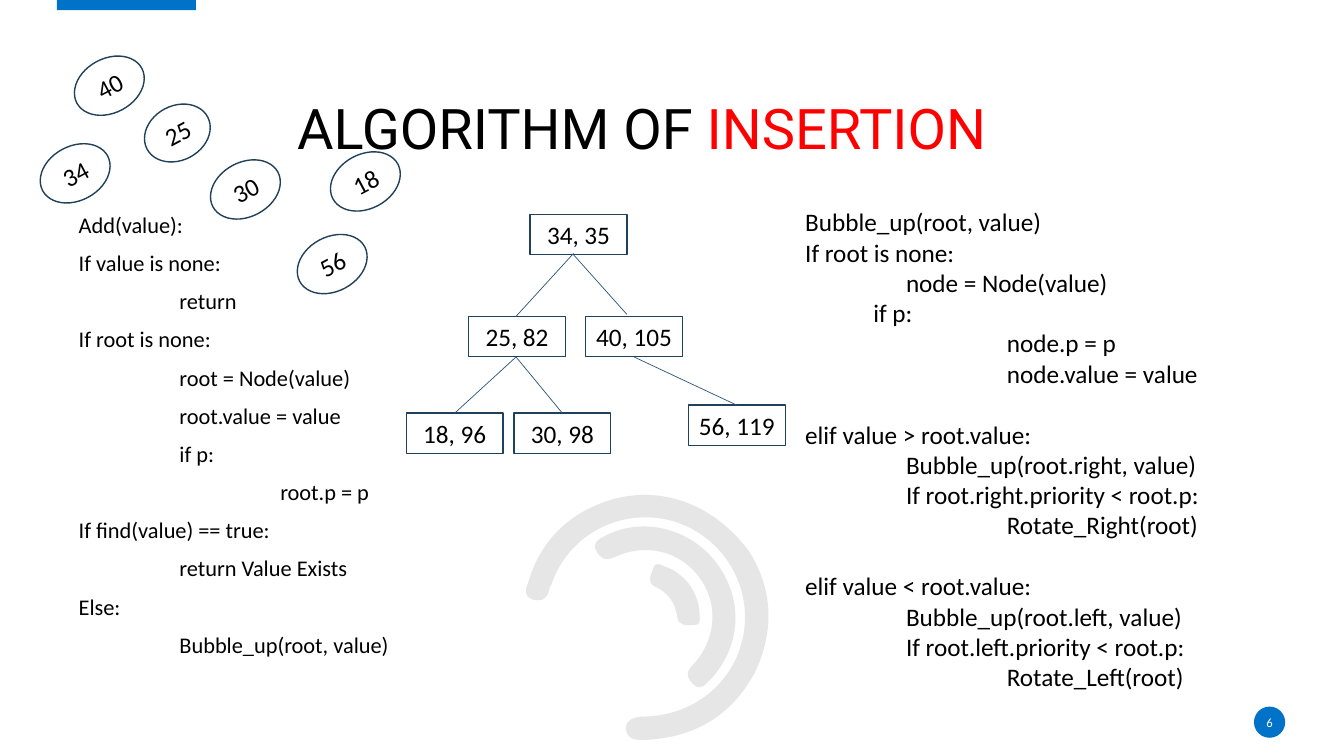
from dataclasses import dataclass

from pptx import Presentation
from pptx.dml.color import RGBColor
from pptx.enum.shapes import MSO_CONNECTOR, MSO_SHAPE
from pptx.enum.text import MSO_ANCHOR, MSO_AUTO_SIZE, PP_ALIGN
from pptx.oxml.ns import qn
from pptx.util import Pt

RECTANGLE, OVAL = MSO_SHAPE.RECTANGLE, MSO_SHAPE.OVAL
VALUE_SHAPE = MSO_SHAPE.FLOWCHART_CONNECTOR
STRAIGHT = MSO_CONNECTOR.STRAIGHT
TOP, MIDDLE = MSO_ANCHOR.TOP, MSO_ANCHOR.MIDDLE
JUSTIFY, CENTER = PP_ALIGN.JUSTIFY, PP_ALIGN.CENTER
NO_AUTOFIT = MSO_AUTO_SIZE.NONE
TITLE_ONLY = 5


@dataclass(frozen=True)
class Theme:
    blue: RGBColor = RGBColor(0x00, 0x72, 0xC7)
    outline: RGBColor = RGBColor(0x21, 0x40, 0x5A)
    edge: RGBColor = RGBColor(0x2C, 0x56, 0x7A)
    swirl: RGBColor = RGBColor(0xE7, 0xE6, 0xE6)
    ink: RGBColor = RGBColor(0, 0, 0)
    red: RGBColor = RGBColor(0xFF, 0, 0)
    white: RGBColor = RGBColor(0xFF, 0xFF, 0xFF)
    body_font: str = "Calibri"
    title_font: str = "Roboto"
    title_size: int = 40
    large: int = 18
    body: int = 16
    small: int = 9


THEME = Theme()
TAB = 72
HALF_TAB = 48.6
BLANK_LINE = 22
NODE_WIDTH, NODE_HEIGHT = 69.1, 28.8
VALUE_HEIGHT, VALUE_TILT = 38.9, 331.9

SWIRLS = [
    [(535, 393.8),
     (550.8, 418.3), (554.4, 448.6), (539.3, 480.2),
     (522.7, 511.2), (496.1, 527), (460.8, 528.5),
     (456.5, 528.5), (451.4, 529.2), (448.6, 524.9),
     (444.2, 518.4), (449.3, 511.9), (458.6, 511.9),
     (499, 511.9), (530.6, 482.4), (532.1, 443.5),
     (533.5, 408.2), (508.3, 377.3), (474.5, 370.8),
     (439.2, 364.3), (405.4, 383.8), (393.8, 417.6),
     (393.1, 418.3), (392.4, 419.8), (392.4, 421.2),
     (391, 427.7), (387.4, 429.8), (380.9, 428.4),
     (373.7, 426.2), (375.1, 420.5), (377.3, 416.2),
     (385.2, 388.8), (403.2, 369.4), (429.8, 359.3),
     (467.3, 344.9), (508.3, 357.8), (535, 393.8)],
    [(512.6, 403.2),
     (531.4, 429.1), (529.2, 462.2), (507.6, 485.3),
     (504, 488.9), (500.4, 493.9), (495.4, 488.9),
     (490.3, 483.8), (489.6, 480.2), (495.4, 474.5),
     (511.9, 456.5), (513.4, 431.3), (499.7, 412.6),
     (486, 393.8), (461.5, 387.4), (438.5, 398.2),
     (432, 401), (429.1, 398.9), (426.2, 393.8),
     (422.6, 387.4), (427.7, 385.2), (432, 383),
     (458.6, 368.6), (493.9, 377.3), (512.6, 403.2)],
    [(492.5, 417.6),
     (496.8, 424.1), (499.7, 431.3), (499.7, 439.2),
     (499.7, 442.1), (501.1, 446.4), (496.1, 446.4),
     (491, 446.4), (484.6, 447.8), (483.8, 440.6),
     (482.4, 430.6), (477.4, 423.4), (468, 419),
     (461.5, 416.2), (465.1, 410.4), (466.6, 406.1),
     (468, 401), (471.6, 403.2), (474.5, 404.6),
     (482.4, 406.8), (487.4, 411.8), (492.5, 417.6)],
]

ADD_CODE = [
    (0, "Add(value):"), (0, "If value is none:"), (TAB, "return"),
    (0, "If root is none:"), (TAB, "root = Node(value)"),
    (TAB, "root.value = value"), (TAB, "if p:"), (2 * TAB, "root.p = p"),
    (0, "If find(value) == true:"), (TAB, "return Value Exists"),
    (0, "Else:"), (TAB, "Bubble_up(root, value)"),
]
BUBBLE_UP_CODE = [
    (0, "Bubble_up(root, value)"), (0, "If root is none:"),
    (TAB, "node = Node(value)"), (HALF_TAB, "if p:"),
    (2 * TAB, "node.p = p"), (2 * TAB, "node.value = value"),
    (0, "elif value > root.value:"), (TAB, "Bubble_up(root.right, value)"),
    (TAB, "If root.right.priority < root.p:"), (2 * TAB, "Rotate_Right(root)"),
    (0, "elif value < root.value:"), (TAB, "Bubble_up(root.left, value)"),
    (TAB, "If root.left.priority < root.p:"), (2 * TAB, "Rotate_Left(root)"),
]
TREE_NODES = [
    ("34, 35", 378.7, 153.2), ("25, 82", 334.8, 226), ("40, 105", 418.3, 226),
    ("18, 96", 290.2, 295), ("30, 98", 367.2, 295), ("56, 119", 491.8, 289.4),
]
TREE_EDGES = [
    (409.7, 181, 368.6, 226), (409.7, 182, 447.8, 224.6),
    (368.6, 255, 324.7, 295.2), (368.6, 255, 401.8, 295.2),
    (452.9, 255, 526.3, 289.4),
]
VALUES = [
    ("34", 27.4, 104.4, 52.6), ("30", 149, 115.9, 52.6), ("25", 102.2, 75.6, 49),
    ("40", 51.8, 41.8, 52.6), ("56", 211, 169.2, 52.6), ("18", 234.7, 110.2, 52.6),
]


def add_run(para, text, size, color=THEME.ink, font=THEME.body_font):
    span = para.add_run()
    span.text = text
    span.font.name, span.font.size, span.font.bold = font, Pt(size), False
    span.font.color.rgb = color


def prepare_frame(shape, anchor, wrap, inset=0, bottom=0):
    frame = shape.text_frame
    frame.auto_size = NO_AUTOFIT
    frame.word_wrap = wrap
    frame.vertical_anchor = anchor
    frame.margin_left = frame.margin_right = Pt(inset)
    frame.margin_top, frame.margin_bottom = Pt(0), Pt(bottom)
    return frame


def paint(shape, fill=None, line=None):
    shape.shadow.inherit = False
    if fill is None:
        shape.fill.background()
    else:
        shape.fill.solid()
        shape.fill.fore_color.rgb = fill
    if line is None:
        shape.line.fill.background()
    else:
        shape.line.color.rgb = line
        shape.line.width = Pt(1)


def add_box(page, kind, bounds, fill=None, line=None, tilt=0):
    box = page.shapes.add_shape(kind, *map(Pt, bounds))
    box.rotation = tilt
    paint(box, fill, line)
    return box


def add_label(box, text, size=THEME.large, color=THEME.ink):
    para = prepare_frame(box, MIDDLE, False).paragraphs[0]
    para.alignment = CENTER
    add_run(para, text, size, color)


def add_swirl(page, nodes):
    start, *rest = [tuple(map(Pt, node)) for node in nodes]
    builder = page.shapes.build_freeform(*start)
    builder.add_line_segments(rest, close=True)
    swirl = builder.convert_to_shape()
    paint(swirl, THEME.swirl)
    segments = list(swirl._element.iter(qn("a:lnTo")))
    for first, second, third in zip(*[iter(segments)] * 3):
        curve = first.makeelement(qn("a:cubicBezTo"), {})
        first.addprevious(curve)
        for segment in (first, second, third):
            curve.append(segment[0])
            segment.getparent().remove(segment)


def add_edge(page, ends):
    edge = page.shapes.add_connector(STRAIGHT, *map(Pt, ends))
    edge.line.color.rgb = THEME.edge
    edge.line.width = Pt(0.5)
    properties = edge._element.spPr
    properties.append(properties.makeelement(qn("a:effectLst"), {}))


def add_code(box, lines, size, anchor, inset=0, spacing=1.0, gap=0):
    frame = prepare_frame(box, anchor, True, inset)
    for index, (indent, text) in enumerate(lines):
        para = frame.add_paragraph() if index else frame.paragraphs[0]
        para.alignment = JUSTIFY
        para.line_spacing = spacing
        para.space_before = Pt(BLANK_LINE if text.startswith("elif") else gap)
        para._p.get_or_add_pPr().set("marL", str(Pt(indent)))
        add_run(para, text, size)


def set_title(page):
    title = page.shapes.title
    title.left, title.top, title.width, title.height = map(Pt, (31.7, 38.2, 853.2, 114.5))
    para = prepare_frame(title, MIDDLE, True, bottom=3).paragraphs[0]
    para.alignment = CENTER
    para.line_spacing = 0.9
    for text, color in (("ALGORITHM OF ", THEME.ink), ("INSERTION", THEME.red)):
        add_run(para, text, THEME.title_size, color, THEME.title_font)


def main():
    deck = Presentation()
    deck.slide_width, deck.slide_height = Pt(960), Pt(540)
    page = deck.slides.add_slide(deck.slide_layouts[TITLE_ONLY])
    set_title(page)
    add_box(page, RECTANGLE, (40.6, -1.4, 99.4, 8.6), THEME.blue)
    for nodes in SWIRLS:
        add_swirl(page, nodes)
    badge = add_box(page, OVAL, (895.7, 504.7, 22.3, 22.3), THEME.blue)
    add_label(badge, "6", THEME.small, THEME.white)
    add_panel = page.shapes.add_textbox(*map(Pt, (56.2, 152.9, 424, 362.2)))
    add_code(add_panel, ADD_CODE, THEME.body, TOP, spacing=0.9, gap=10)
    bubble_panel = add_box(page, RECTANGLE, (568.1, 139.7, 326.2, 362.2),
                           THEME.white, THEME.white)
    add_code(bubble_panel, BUBBLE_UP_CODE, THEME.large, MIDDLE, inset=7.2)
    for text, left, top in TREE_NODES:
        node = add_box(page, RECTANGLE, (left, top, NODE_WIDTH, NODE_HEIGHT),
                       line=THEME.outline)
        add_label(node, text)
    for ends in TREE_EDGES:
        add_edge(page, ends)
    for text, left, top, width in VALUES:
        value = add_box(page, VALUE_SHAPE, (left, top, width, VALUE_HEIGHT),
                        line=THEME.outline, tilt=VALUE_TILT)
        add_label(value, text)
    deck.save("out.pptx")


main()
